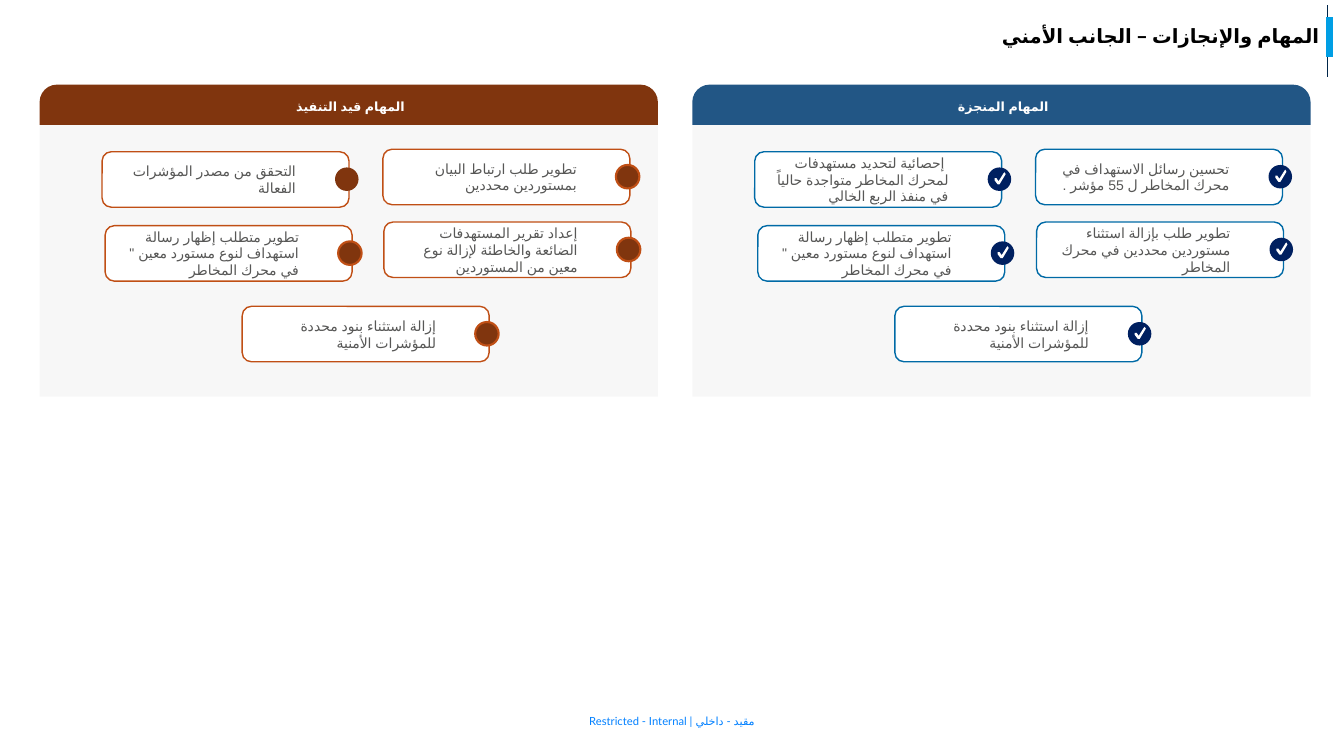
from lxml import etree
from pptx import Presentation
from pptx.dml.color import RGBColor
from pptx.enum.lang import MSO_LANGUAGE_ID
from pptx.enum.shapes import MSO_CONNECTOR, MSO_SHAPE
from pptx.enum.text import MSO_ANCHOR, MSO_AUTO_SIZE, PP_ALIGN
from pptx.oxml.ns import qn
from pptx.util import Pt

RECT = MSO_SHAPE.RECTANGLE
ROUND = MSO_SHAPE.ROUNDED_RECTANGLE
CAP = MSO_SHAPE.ROUND_2_SAME_RECTANGLE
OVAL = MSO_SHAPE.OVAL
LINE = MSO_CONNECTOR.STRAIGHT
MID, TOP = MSO_ANCHOR.MIDDLE, MSO_ANCHOR.TOP
RIGHT, CENTER = PP_ALIGN.RIGHT, PP_ALIGN.CENTER
FIXED = MSO_AUTO_SIZE.NONE
ARABIC = MSO_LANGUAGE_ID.ARABIC

NAVY, WHITE = "002060", "FFFFFF"
RUST, BROWN = "C04F15", "80350E"
WIDE, TALL = 960, 540
SLOTS = [(245.2, 106.6), (245.9, 158.6), (46.8, 161.2), (144.7, 218.8), (44.6, 108.4)]
TICK = [(3, 12), (0, 8), (0, 6), (2, 6), (4, 9), (9, 1), (10, 0), (11, 2), (5, 12)]

DONE = [
    "تحسين رسائل الاستهداف في محرك المخاطر ل 55 مؤشر .",
    "تطوير طلب بإزالة استثناء مستوردين محددين في محرك المخاطر",
    "تطوير متطلب إظهار رسالة استهداف لنوع مستورد معين \" في محرك المخاطر",
    "إزالة استثناء بنود محددة للمؤشرات الأمنية ",
    " إحصائية لتحديد مستهدفات لمحرك المخاطر متواجدة حالياً في منفذ الربع الخالي",
]
DOING = [
    "تطوير طلب ارتباط البيان بمستوردين محددين",
    "إعداد تقرير المستهدفات الضائعة والخاطئة لإزالة نوع معين من المستوردين",
    "تطوير متطلب إظهار رسالة استهداف لنوع مستورد معين \" في محرك المخاطر",
    "إزالة استثناء بنود محددة للمؤشرات الأمنية ",
    "التحقق من مصدر المؤشرات الفعالة",
]


def color(code):
    return RGBColor.from_string(code)


def paint(shape, fill, edge=None, width=1):
    shape.shadow.inherit = False
    shape.fill.solid()
    shape.fill.fore_color.rgb = color(fill)
    if edge:
        shape.line.color.rgb = color(edge)
        shape.line.width = Pt(width)
    else:
        shape.line.fill.background()


def add_box(slide, kind, left, top, width, height, fill, edge=None, weight=1):
    box = slide.shapes.add_shape(kind, Pt(left), Pt(top), Pt(width), Pt(height))
    paint(box, fill, edge, weight)
    return box


def write(shape, text, size, font, code, align, anchor=MID, bold=False,
          rtl=True, pads=(7.2, 3.6, 7.2, 3.6), lead=None, before=0):
    frame = shape.text_frame
    frame.text = text
    frame.word_wrap = True
    frame.auto_size = FIXED
    frame.vertical_anchor = anchor
    frame.margin_left, frame.margin_top, frame.margin_right, frame.margin_bottom = map(Pt, pads)
    para = frame.paragraphs[0]
    para.alignment = align
    para.space_before = Pt(before)
    if lead:
        para.line_spacing = lead
    if rtl:
        para._p.get_or_add_pPr().set("rtl", "1")
    run = para.runs[0]
    run.font.size = Pt(size)
    run.font.bold = bold
    run.font.name = font
    run.font.language_id = ARABIC
    run.font.color.rgb = color(code)
    etree.SubElement(run._r.get_or_add_rPr(), qn("a:cs")).set("typeface", font)


def add_line(slide, x, start, end, code, width):
    line = slide.shapes.add_connector(LINE, Pt(x), Pt(start), Pt(x), Pt(end))
    line.line.color.rgb = color(code)
    line.line.width = Pt(width)
    etree.SubElement(line._element.spPr, qn("a:effectLst"))


def add_tick(slide, left, top):
    pen = slide.shapes.build_freeform(4, 12, scale=Pt(0.72))
    pen.add_line_segments(TICK, close=True)
    paint(pen.convert_to_shape(Pt(left), Pt(top)), WHITE)


def add_card(slide, left, top, text, edge, dot, ring, tick):
    card = add_box(slide, ROUND, left, top, 176.4, 39.6, WHITE, edge)
    write(card, text, 10, "Arial", "575756", RIGHT, pads=(7.2, 0, 36, 0), before=12)
    x, y = left + 166.4, top + 11.2
    add_box(slide, OVAL, x, y, 16.8, 16.8, dot, ring, 1.5)
    if tick:
        add_tick(slide, x + 4.9, y + 3.4)


def add_panel(slide, left, head, tasks, band, edge, dot, rings, tick):
    body = add_box(slide, RECT, left, 89, 441.6, 194.4, "080808")
    shade = body.fill._xPr.find(qn("a:solidFill"))[0]
    etree.SubElement(shade, qn("a:alpha")).set("val", "3000")
    cap = add_box(slide, CAP, left, 60.5, 441.6, 28.8, band)
    cap.adjustments[0] = 0.43
    write(cap, head, 9, "Arial", WHITE, CENTER, bold=True, lead=0.9)
    for (x, y), text, ring in zip(SLOTS, tasks, rings):
        add_card(slide, left + x, y, text, edge, dot, ring, tick)


def add_title(slide, text):
    title = slide.shapes.title
    title.left, title.top, title.width, title.height = map(Pt, (383.8, 18.7, 558.7, 19.4))
    write(title, text, 14, "Karla", "000000", RIGHT, TOP, bold=True,
          pads=(0, 0, 0, 0), lead=0.9)


def add_foot(slide, text):
    foot = slide.shapes.add_textbox(Pt(0), Pt(500.4), Pt(WIDE), Pt(28.8))
    write(foot, text, 8, "Lato", "0080FF", CENTER, rtl=False)


def main():
    deck = Presentation()
    deck.slide_width, deck.slide_height = Pt(WIDE), Pt(TALL)
    slide = deck.slides.add_slide(deck.slide_layouts[5])
    add_title(slide, "المهام والإنجازات – الجانب الأمني")
    add_line(slide, 948.2, 54.7, 3.6, "002649", 1)
    add_line(slide, 949.7, 12.2, 41, "009EE4", 4.5)
    add_panel(slide, 494.5, "المهام المنجزة ", DONE, "225685", "006AA6",
              NAVY, [None] * 5, True)
    add_panel(slide, 28.3, "المهام قيد التنفيذ ", DOING, BROWN, RUST,
              BROWN, [RUST] * 4 + [None], False)
    add_foot(slide, "Restricted - Internal | مقيد - داخلي")
    deck.save("out.pptx")


if __name__ == "__main__":
    main()
